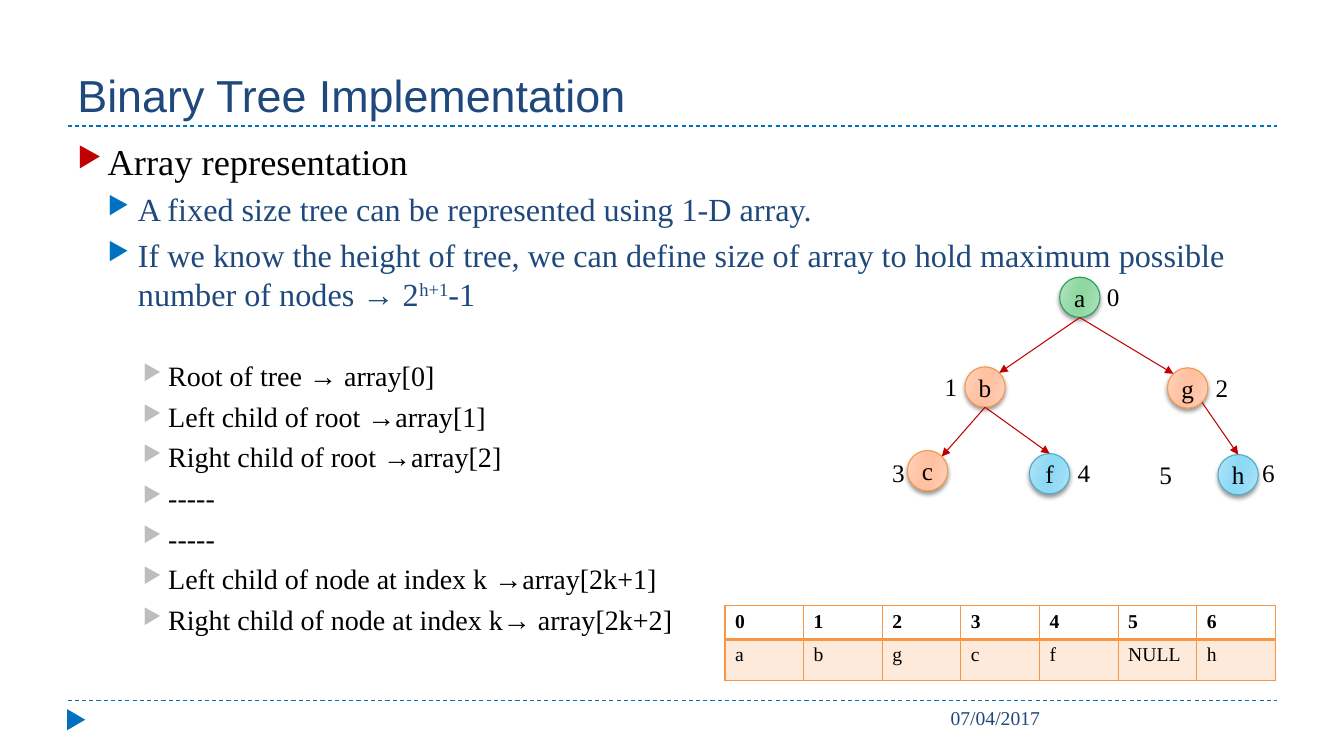
"""Build the binary tree array representation slide."""
from dataclasses import dataclass
from math import cos, radians, sin
from typing import Any

from lxml.etree import SubElement
from pptx import Presentation
from pptx.dml.color import RGBColor as RGB
from pptx.enum.dml import MSO_LINE_DASH_STYLE as DASH
from pptx.enum.shapes import MSO_CONNECTOR as CONN, MSO_SHAPE as SHAPE
from pptx.enum.text import MSO_ANCHOR as ANCHOR, MSO_AUTO_SIZE as AUTO, PP_ALIGN as ALIGN
from pptx.oxml.ns import qn
from pptx.util import Emu, Pt

PX = 9144
RADIUS = 20
STOPS = (0, 30, 45, 55, 73, 100)


@dataclass(frozen=True)
class Theme:
    head: str = "Arial"
    body: str = "Times New Roman"
    navy: str = "1F497D"
    blue: str = "0070C0"
    red: str = "C00000"
    grey: str = "BDBDBD"
    black: str = "000000"
    orange: str = "F79646"
    peach: str = "FDEADA"
    title_pt: int = 32
    node_pt: int = 18
    small_pt: int = 14


T = Theme()


@dataclass(frozen=True)
class Tint:
    edge: str
    shades: tuple[str, str, str]


@dataclass(frozen=True)
class Node:
    name: str
    x: int
    y: int
    tint: Tint


@dataclass(frozen=True)
class Edge:
    start: str
    start_angle: int
    end: str
    end_angle: int


@dataclass(frozen=True)
class Level:
    size: int
    color: str
    bullet: str
    left: int
    hang: int
    before: int


@dataclass(frozen=True)
class Item:
    level: int
    text: str
    sup: str = ""
    tail: str = ""
    gap: int = 0


GREEN = Tint("279D57", ("BBE4C5", "9BDBAB", "8FD8A1"))
PEACH = Tint(T.orange, ("FFD7C5", "FFC6AA", "FFC1A1"))
AQUA = Tint("4BACC6", ("B9E5F7", "99DCF6", "8DD9F6"))
NODES = (
    Node("f", 1041, 470, AQUA), Node("c", 920, 467, PEACH), Node("g", 1178, 385, PEACH),
    Node("b", 977, 384, PEACH), Node("a", 1071, 295, GREEN), Node("h", 1228, 471, AQUA),
)
EDGES = (
    Edge("a", 90, "b", -45), Edge("a", 90, "g", -135), Edge("b", 90, "c", -45),
    Edge("b", 90, "f", -90), Edge("g", 45, "h", -90),
)
INDEX_AT = ((1088, 274), (927, 363), (1196, 364), (875, 449), (1059, 449), (1140, 451), (1242, 449))
ARRAY = ("a", "b", "g", "c", "f", "NULL", "h")
LEVELS = (
    Level(26, T.black, T.red, 30, 30, 6),
    Level(23, T.navy, T.blue, 60, 30, 5),
    Level(20, T.black, T.grey, 90, 25, 5),
)
ITEMS = (
    Item(0, "Array representation"),
    Item(1, "A fixed size tree can be represented using 1-D array."),
    Item(1, "If we know the height of tree, we can define size of array to hold "
            "maximum possible number of nodes → 2", "h+1", "-1"),
    Item(2, "Root of tree → array[0]", gap=28),
    Item(2, "Left child of root →array[1]"),
    Item(2, "Right child of root →array[2]"),
    Item(2, "-----"),
    Item(2, "-----"),
    Item(2, "Left child of node at index k →array[2k+1]"),
    Item(2, "Right child of node at index k→ array[2k+2]"),
)


def px(n: float) -> Emu:
    """Turn px into EMU."""
    return Emu(round(n * PX))


def assign(obj: Any, **values: Any) -> None:
    """Set each named attribute."""
    for name, value in values.items():
        setattr(obj, name, value)


def add(parent: Any, tag: str, **attrs: Any) -> Any:
    """Append a DrawingML element."""
    return SubElement(parent, qn(f"a:{tag}"), {k: str(v) for k, v in attrs.items()})


def write(p: Any, text: str, size: int, color: str, font: str = T.body, bold: bool = False) -> Any:
    """Add a formatted run."""
    r = p.add_run()
    r.text = text
    assign(r.font, name=font, size=Pt(size), bold=bold)
    r.font.color.rgb = RGB.from_string(color)
    return r


def text_box(s: Any, box: tuple[int, int, int, int], **frame: Any) -> Any:
    """Add a text box and return its text frame."""
    tf = s.shapes.add_textbox(*map(px, box)).text_frame
    assign(tf, **{"word_wrap": True, **frame})
    return tf


def line(s: Any, *ends: float, color: str, dashed: bool = False) -> None:
    """Draw a dashed rule or an arrow."""
    c = s.shapes.add_connector(CONN.STRAIGHT, *map(px, ends))
    c.line.width = Pt(0.75)
    c.line.color.rgb = RGB.from_string(color)
    if dashed:
        c.line.dash_style = DASH.DASH
    else:
        add(c.line._get_or_add_ln(), "tailEnd", type="triangle")
    add(c._element.spPr, "effectLst")


def rim(node: Node, angle: int) -> tuple[float, float]:
    """Find the point on a node's rim at a clockwise angle."""
    a = radians(angle)
    return node.x + RADIUS * cos(a), node.y + RADIUS * sin(a)


def draw_node(s: Any, node: Node) -> None:
    """Draw a shaded tree node with its letter."""
    size = 2 * RADIUS
    sp = s.shapes.add_shape(SHAPE.OVAL, *map(px, (node.x - RADIUS, node.y - RADIUS, size, size)))
    sp.fill.gradient()
    grad = sp._element.spPr.find(qn("a:gradFill"))
    for child in list(grad):
        grad.remove(child)
    stops = add(grad, "gsLst")
    for pos, shade in zip(STOPS, node.tint.shades + node.tint.shades[::-1]):
        add(add(stops, "gs", pos=pos * 1000), "srgbClr", val=shade)
    add(grad, "lin", ang=16 * 60000, scaled=0)
    sp.line.width = Pt(0.75)
    sp.line.color.rgb = RGB.from_string(node.tint.edge)
    effects = add(sp._element.spPr, "effectLst")
    shadow = add(effects, "outerShdw", blurRad=Pt(3), dist=Pt(2), dir=90 * 60000, rotWithShape=0)
    add(add(shadow, "srgbClr", val=T.black), "alpha", val=40000)
    tf = sp.text_frame
    assign(tf, margin_left=0, margin_right=0, vertical_anchor=ANCHOR.MIDDLE)
    tf.paragraphs[0].alignment = ALIGN.CENTER
    write(tf.paragraphs[0], node.name, T.node_pt, T.black)


def draw_items(s: Any) -> None:
    """Write the bulleted outline."""
    tf = text_box(s, (67, 133, 1200, 540))
    for i, item in enumerate(ITEMS):
        p = tf.paragraphs[0] if i == 0 else tf.add_paragraph()
        lv = LEVELS[item.level]
        pPr = p._p.get_or_add_pPr()
        pPr.set("marL", str(px(lv.left)))
        pPr.set("indent", str(-px(lv.hang)))
        add(add(pPr, "buClr"), "srgbClr", val=lv.bullet)
        add(pPr, "buSzPct", val=76000)
        add(pPr, "buChar", char="▶")
        assign(p, level=item.level, space_before=Pt(lv.before + item.gap if i else 0))
        write(p, item.text, lv.size, lv.color)
        if item.sup:
            r = write(p, item.sup, lv.size, lv.color)
            r._r.get_or_add_rPr().set("baseline", "30000")
            write(p, item.tail, lv.size, lv.color)


def draw_array(s: Any) -> None:
    """Draw the array as a table of indexes and values."""
    rows = (tuple(map(str, range(len(ARRAY)))), ARRAY)
    tbl = s.shapes.add_table(2, len(ARRAY), *map(px, (719, 601, 546, 73))).table
    assign(tbl, first_row=False, horz_banding=False)
    for col in tbl.columns:
        col.width = px(78)
    for i, (row, height) in enumerate(zip(rows, (32, 41))):
        tbl.rows[i].height = px(height)
        for j, value in enumerate(row):
            cell = tbl.cell(i, j)
            write(cell.text_frame.paragraphs[0], value, T.small_pt, T.black, bold=i == 0)
            tcPr = cell._tc.get_or_add_tcPr()
            for side in "LRTB":
                ln = add(tcPr, f"ln{side}", w=Pt(2 if i == 0 and side == "B" else 1))
                add(add(ln, "solidFill"), "srgbClr", val=T.orange)
            if i == 0:
                cell.fill.background()
            else:
                cell.fill.solid()
                cell.fill.fore_color.rgb = RGB.from_string(T.peach)


def main() -> None:
    """Build and save the slide."""
    prs = Presentation()
    assign(prs, slide_width=px(1333), slide_height=px(750))
    s = prs.slides.add_slide(prs.slide_layouts[6])
    for y in (695, 125):
        line(s, 67, y, 1267, y, color=T.blue, dashed=True)
    sp = s.shapes.add_shape(SHAPE.ISOSCELES_TRIANGLE, *map(px, (65, 705, 21, 18)))
    sp.rotation = 90
    sp.shadow.inherit = False
    sp.fill.solid()
    sp.fill.fore_color.rgb = RGB.from_string(T.blue)
    sp.line.fill.background()
    tf = text_box(s, (67, 17, 1200, 108), vertical_anchor=ANCHOR.BOTTOM)
    write(tf.paragraphs[0], "Binary Tree Implementation", T.title_pt, T.navy, T.head)
    tf = text_box(s, (933, 695, 334, 40))
    write(tf.paragraphs[0], "07/04/2017", T.small_pt, T.navy)
    draw_items(s)
    for node in NODES:
        draw_node(s, node)
    by_name = {node.name: node for node in NODES}
    for e in EDGES:
        ends = rim(by_name[e.start], e.start_angle) + rim(by_name[e.end], e.end_angle)
        line(s, *ends, color=T.red)
    draw_array(s)
    for i, (x, y) in enumerate(INDEX_AT):
        tf = text_box(s, (x, y, 33, 40), word_wrap=False, auto_size=AUTO.SHAPE_TO_FIT_TEXT)
        write(tf.paragraphs[0], str(i), T.node_pt, T.black)
    prs.save("out.pptx")


if __name__ == "__main__":
    main()
